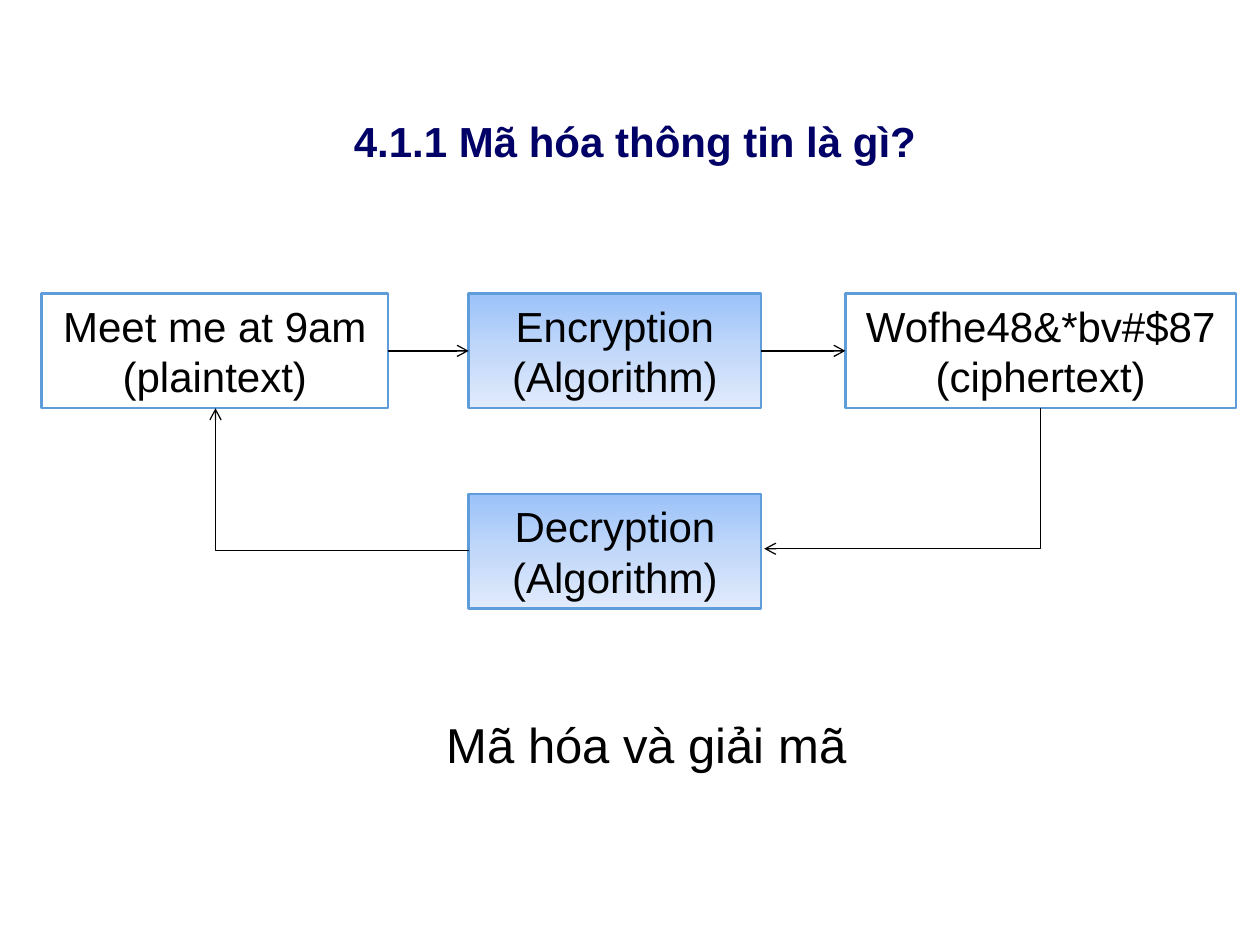
from copy import deepcopy

from lxml import etree
from pptx import Presentation
from pptx.dml.color import RGBColor
from pptx.enum.shapes import MSO_CONNECTOR, MSO_SHAPE
from pptx.enum.text import MSO_ANCHOR, MSO_AUTO_SIZE, PP_ALIGN
from pptx.oxml.ns import qn
from pptx.util import Pt

PX = 9144  # 100 px to the inch
RECT = MSO_SHAPE.RECTANGLE
STRAIGHT, ELBOW = MSO_CONNECTOR.STRAIGHT, MSO_CONNECTOR.ELBOW
CENTER, MIDDLE = PP_ALIGN.CENTER, MSO_ANCHOR.MIDDLE
GROW = MSO_AUTO_SIZE.SHAPE_TO_FIT_TEXT
TOP, LEFT, BOTTOM, RIGHT = range(4)

BLACK, NAVY, BORDER = "000000", "000066", "5E9CDA"
GRADIENT = ["9BC2F9", "C2D8FA", "E1EBFC"]


def rgb(value):
    return RGBColor.from_string(value)


def emu(*lengths):
    return [n * PX for n in lengths]


def write(sp, lines, size, color=BLACK, bold=False):
    tf = sp.text_frame
    tf.word_wrap = True
    tf.auto_size = GROW
    tf.vertical_anchor = MIDDLE
    p = tf.paragraphs[0]
    p.alignment = CENTER
    p.font.name, p.font.size, p.font.bold = "Arial", Pt(size), bold
    p.font.color.rgb = rgb(color)
    for i, line in enumerate(lines):
        if i:
            p.add_line_break()
        p.add_run().text = line


def add_text(slide, box, text, size, color=BLACK, bold=False):
    sp = slide.shapes.add_textbox(*emu(*box))
    write(sp, [text], size, color, bold)


def fill_gradient(sp, colors):
    sp.fill.gradient()
    sp.fill.gradient_angle = 270
    stops = sp._element.spPr.find(".//" + qn("a:gsLst"))
    stops.insert(1, deepcopy(stops[0]))
    for i, (stop, color) in enumerate(zip(sp.fill.gradient_stops, colors)):
        stop.color.rgb = rgb(color)
        stop.position = i / (len(colors) - 1)


def add_box(slide, box, lines, shaded=False):
    sp = slide.shapes.add_shape(RECT, *emu(*box))
    sp.shadow.inherit = False
    if shaded:
        fill_gradient(sp, GRADIENT)
    else:
        sp.fill.background()
    sp.line.color.rgb = rgb(BORDER)
    sp.line.width = Pt(1.5)
    write(sp, lines, 24)
    return sp


def style_arrow(cxn):
    cxn.line.color.rgb = rgb(BLACK)
    cxn.line.width = Pt(0.75)
    etree.SubElement(cxn.line._get_or_add_ln(), qn("a:tailEnd"), type="arrow")
    etree.SubElement(cxn._element.spPr, qn("a:effectLst"))


def join(slide, source, target):
    """Straight arrow from the right side of source to the left of target."""
    cxn = slide.shapes.add_connector(STRAIGHT, 0, 0, 0, 0)
    cxn.begin_connect(source, RIGHT)
    cxn.end_connect(target, LEFT)
    style_arrow(cxn)


def add_corner(slide, start, end, turn):
    """One-bend arrow running right then down, turned clockwise in degrees."""
    (x1, y1), (x2, y2) = start, end
    w, h = abs(x2 - x1), abs(y2 - y1)
    if turn % 180:
        w, h = h, w
    x, y = (x1 + x2 - w) // 2, (y1 + y2 - h) // 2
    cxn = slide.shapes.add_connector(ELBOW, *emu(x, y, x + w, y + h))
    spPr = cxn._element.spPr
    spPr.find(qn("a:xfrm")).set("rot", str(turn * 60000))
    spPr.find(qn("a:prstGeom")).set("prst", "bentConnector2")
    style_arrow(cxn)


def add_cycle(slide, x, y):
    """Encryption along the top row, decryption on the way back."""
    h, drop = 91, 159
    mid_x, right_x = x + 339, x + 638
    plain_w, step_w, cipher_w = 275, 232, 310

    # Boxes
    plain = add_box(slide, (x, y, plain_w, h), ["Meet me at 9am", "(plaintext)"])
    encrypt = add_box(slide, (mid_x, y, step_w, h),
                      ["Encryption", "(Algorithm)"], True)
    cipher = add_box(slide, (right_x, y, cipher_w, h),
                     ["Wofhe48&*bv#$87", "(ciphertext)"])
    add_box(slide, (mid_x, y + drop, step_w, h),
            ["Decryption", "(Algorithm)"], True)

    # Arrows
    join(slide, plain, encrypt)
    join(slide, encrypt, cipher)
    back_y = y + drop + h // 2
    add_corner(slide, (right_x + cipher_w // 2, y + h),
               (mid_x + step_w + 3, back_y - 1), 90)
    add_corner(slide, (mid_x, back_y), (x + plain_w // 2 + 1, y + h), 180)


def main():
    prs = Presentation()
    prs.slide_width, prs.slide_height = emu(1000, 750)
    slide = prs.slides.add_slide(prs.slide_layouts[6])
    add_text(slide, (25, 83, 958, 57), "4.1.1 Mã hóa thông tin là gì?",
             24, NAVY, True)
    add_cycle(slide, 33, 233)
    add_text(slide, (317, 562, 392, 57), "Mã hóa và giải mã", 28)
    prs.save("out.pptx")


if __name__ == "__main__":
    main()
